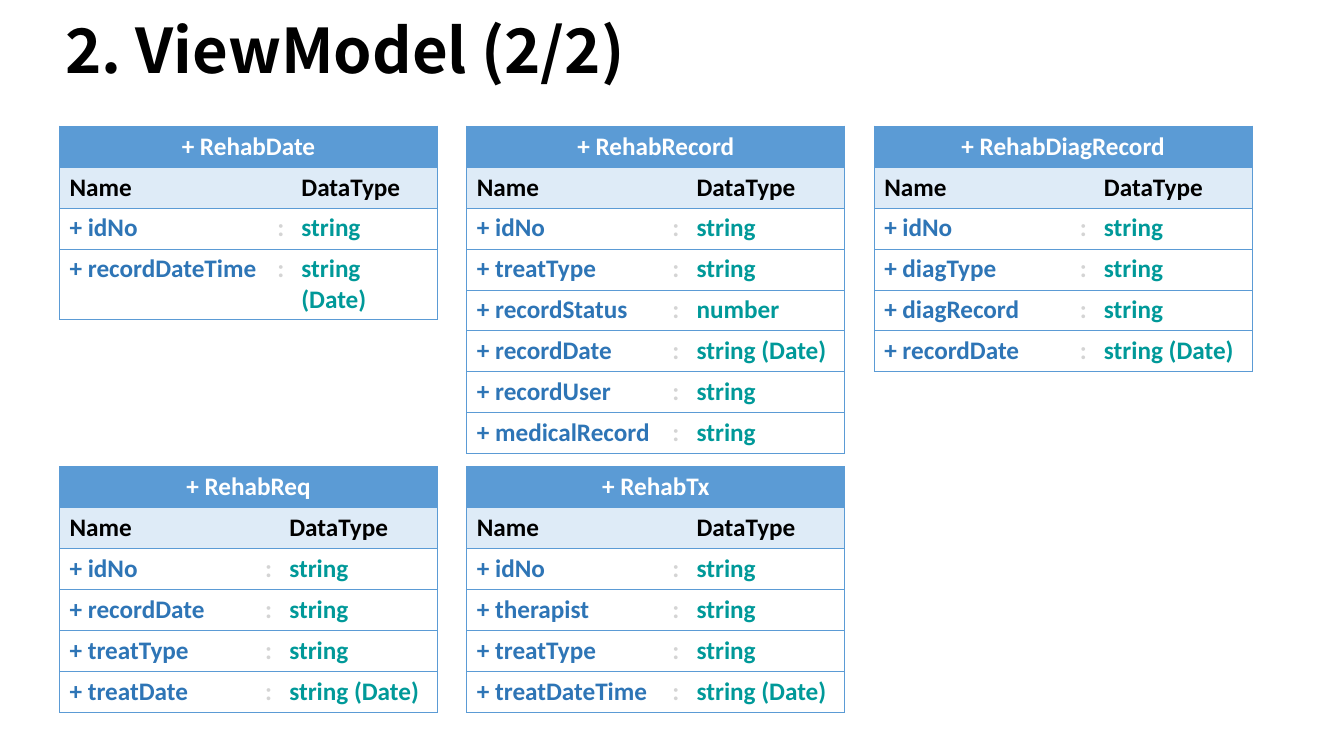
from lxml import etree
from pptx import Presentation
from pptx.dml.color import RGBColor
from pptx.enum.text import MSO_ANCHOR, PP_ALIGN
from pptx.oxml.ns import qn
from pptx.util import Inches, Pt

MIDDLE, CENTER, LEFT = MSO_ANCHOR.MIDDLE, PP_ALIGN.CENTER, PP_ALIGN.LEFT

BLACK = RGBColor(0x00, 0x00, 0x00)
WHITE = RGBColor(0xFF, 0xFF, 0xFF)
HEADER_BLUE = RGBColor(0x5B, 0x9B, 0xD5)
PALE_BLUE = RGBColor(0xDE, 0xEB, 0xF7)
NAME_BLUE = RGBColor(0x2E, 0x75, 0xB6)
COLON_GRAY = RGBColor(0xD4, 0xD4, 0xD4)
TYPE_TEAL = RGBColor(0x00, 0x99, 0x99)

GRID_LEFT, GRID_TOP = 0.59, 1.25
COLUMN_STEP, ROW_STEP = 4.04, 3.38
TABLE_WIDTH, COLON_WIDTH = 3.74, 0.23
LINE_HEIGHT = 2.44 / 6

# Model name, grid column, grid row, width of the name column, fields
MODELS = [
    ("RehabDate", 0, 0, 2.06, [
        ("idNo", "string"), ("recordDateTime", "string (Date)")]),
    ("RehabRecord", 1, 0, 1.94, [
        ("idNo", "string"), ("treatType", "string"),
        ("recordStatus", "number"), ("recordDate", "string (Date)"),
        ("recordUser", "string"), ("medicalRecord", "string")]),
    ("RehabDiagRecord", 2, 0, 1.94, [
        ("idNo", "string"), ("diagType", "string"),
        ("diagRecord", "string"), ("recordDate", "string (Date)")]),
    ("RehabReq", 0, 1, 1.94, [
        ("idNo", "string"), ("recordDate", "string"),
        ("treatType", "string"), ("treatDate", "string (Date)")]),
    ("RehabTx", 1, 1, 1.94, [
        ("idNo", "string"), ("therapist", "string"),
        ("treatType", "string"), ("treatDateTime", "string (Date)")]),
]


def set_borders(cell, visible_sides):
    """Draw thin blue lines on the given sides (of L, R, T, B) and none elsewhere."""
    properties = cell._tc.get_or_add_tcPr()
    for side in "LRTB":
        line = etree.SubElement(properties, qn(f"a:ln{side}"), w=str(Pt(0.5)))
        if side in visible_sides:
            paint = etree.SubElement(line, qn("a:solidFill"))
            etree.SubElement(paint, qn("a:srgbClr"), val=str(HEADER_BLUE))
        else:
            etree.SubElement(line, qn("a:noFill"))


def write(paragraph, text, color, size, font_name, alignment=LEFT):
    paragraph.alignment = alignment
    run = paragraph.add_run()
    run.text = text
    for attribute, value in {"name": font_name, "size": Pt(size), "bold": True}.items():
        setattr(run.font, attribute, value)
    run.font.color.rgb = color


presentation = Presentation()
presentation.slide_width = Inches(13.33)
presentation.slide_height = Inches(7.5)
slide = presentation.slides.add_slide(presentation.slide_layouts[6])

heading = slide.shapes.add_textbox(
    Inches(0.55), Inches(0.14), Inches(12.17), Inches(0.78)).text_frame
heading.word_wrap = True
heading.vertical_anchor = MIDDLE
heading.paragraphs[0].line_spacing = 0.9
write(heading.paragraphs[0], "2. ViewModel (2/2)", BLACK, 44, "Noto Sans CJK SC")

for model, grid_column, grid_row, name_width, fields in MODELS:
    lines = [
        (HEADER_BLUE, [(f"+ {model}", WHITE), ("", WHITE), ("", WHITE)]),
        (PALE_BLUE, [("Name", BLACK), ("", BLACK), ("DataType", BLACK)]),
    ] + [
        (WHITE, [(f"+ {field}", NAME_BLUE), (":", COLON_GRAY), (data_type, TYPE_TEAL)])
        for field, data_type in fields
    ]
    table = slide.shapes.add_table(
        len(lines), 3,
        Inches(GRID_LEFT + grid_column * COLUMN_STEP),
        Inches(GRID_TOP + grid_row * ROW_STEP),
        Inches(TABLE_WIDTH), Inches(LINE_HEIGHT * len(lines))).table
    table.first_row = False
    table.horz_banding = False
    widths = [name_width, COLON_WIDTH, TABLE_WIDTH - name_width - COLON_WIDTH]
    for column, width in zip(table.columns, widths):
        column.width = Inches(width)
    table.cell(0, 0).merge(table.cell(0, 2))

    for line_number, (background, entries) in enumerate(lines):
        for position, (text, color) in enumerate(entries):
            cell = table.cell(line_number, position)
            set_borders(cell, ("LTB", "TB", "RTB")[position] if line_number else "LRTB")
            cell.fill.solid()
            cell.fill.fore_color.rgb = background
            if text:
                write(cell.text_frame.paragraphs[0], text, color, 18, "Calibri",
                      LEFT if line_number else CENTER)

presentation.save("out.pptx")
